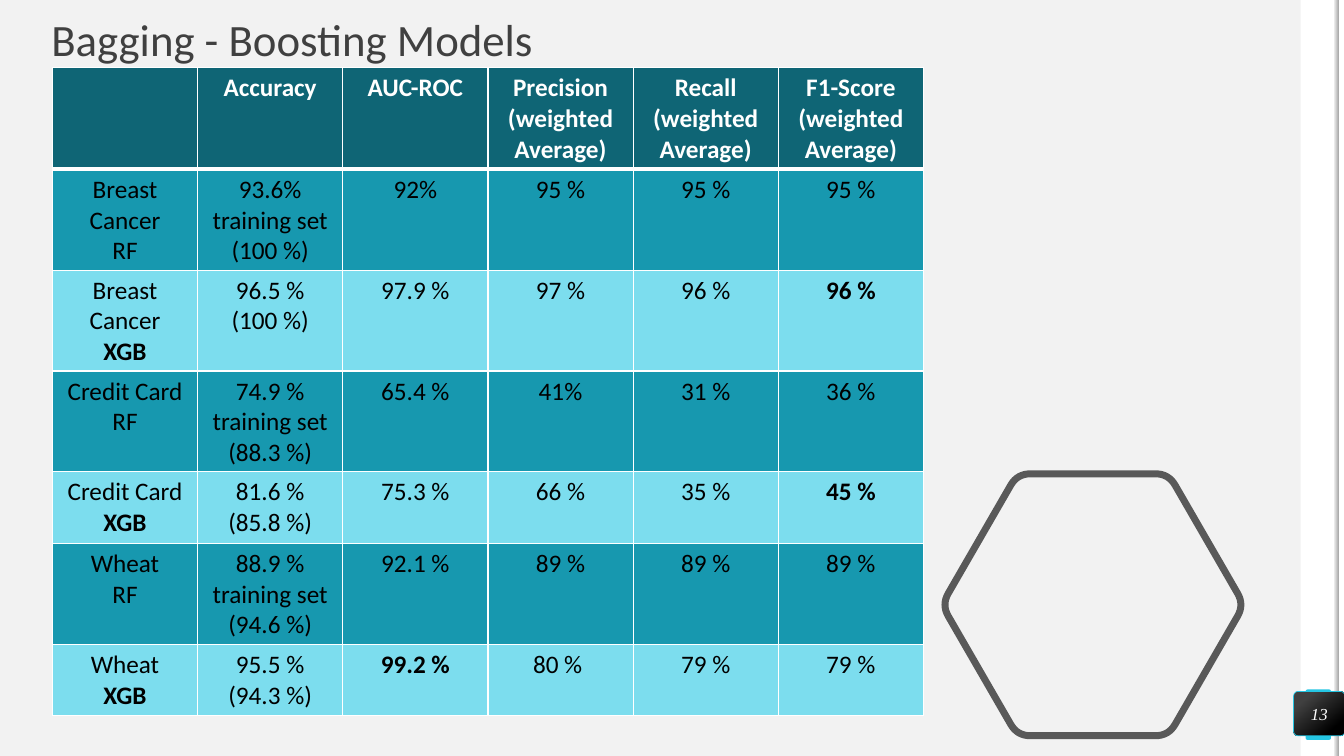
import math

from lxml import etree
from pptx import Presentation
from pptx.dml.color import RGBColor
from pptx.enum.shapes import MSO_SHAPE
from pptx.enum.text import MSO_ANCHOR, PP_ALIGN
from pptx.oxml.ns import qn
from pptx.util import Inches, Pt

RECT, ROUND = MSO_SHAPE.RECTANGLE, MSO_SHAPE.ROUNDED_RECTANGLE
MIDDLE = MSO_ANCHOR.MIDDLE
CENTER, LEFT = PP_ALIGN.CENTER, PP_ALIGN.LEFT

COLORS = {
    "back": "F2F2F2", "white": "FFFFFF", "black": "000000",
    "title": "404040", "edge": "A6A6A6", "outline": "595959",
    "accent": "25C6E3", "header": "0F6575", "dark": "1798AF", "light": "7CDDEE",
}

# A leading * marks a paragraph in bold
RESULTS = [
    ["", "*Accuracy", "*AUC-ROC", "*Precision\n*(weighted Average)",
     "*Recall\n*(weighted Average)", "*F1-Score\n*(weighted Average)"],
    ["Breast Cancer\nRF", "93.6%\ntraining set (100 %)", "92%", "95 %", "95 %", "95 %"],
    ["Breast Cancer\n*XGB", "96.5 %\n(100 %)", "97.9 %", "97 %", "96 %", "*96 %"],
    ["Credit Card\nRF", "74.9 %\ntraining set (88.3 %)", "65.4 %", "41%", "31 %", "36 %"],
    ["Credit Card\n*XGB", "81.6 %\n(85.8 %)", "75.3 %", "66 %", "35 %", "*45 %"],
    ["Wheat\nRF", "88.9 %\ntraining set (94.6 %)", "92.1 %", "89 %", "89 %", "89 %"],
    ["Wheat\n*XGB", "95.5 %\n(94.3 %)", "*99.2 %", "80 % ", "79 %", "79 %"],
]
ROW_HEIGHTS = [1.01, 0.71, 0.71, 0.8, 0.71, 0.71, 0.71]
COLUMN_WIDTH = 1.44


def rgb(name):
    return RGBColor.from_string(COLORS[name])


class SlideBuilder:
    def __init__(self, prs, font="Calibri"):
        self.font = font
        self.s = prs.slides.add_slide(prs.slide_layouts[6])
        self.s.background.fill.solid()
        self.s.background.fill.fore_color.rgb = rgb("back")

    def box(self, left, top, width, height, fill, kind=RECT, corner=None):
        sp = self.s.shapes.add_shape(kind, Inches(left), Inches(top),
                                     Inches(width), Inches(height))
        sp.shadow.inherit = False
        sp.fill.solid()
        sp.fill.fore_color.rgb = rgb(fill)
        sp.line.fill.background()
        if corner is not None:
            sp.adjustments[0] = corner
        return sp

    def gradient(self, sp, stops, angle):
        sp.fill.gradient()
        sp.fill.gradient_angle = angle
        for stop, (position, color) in zip(sp.fill.gradient_stops, stops):
            stop.position = position
            stop.color.rgb = rgb(color)

    def format_paragraph(self, p, size, color, align=LEFT, font=None, bold=False, italic=False):
        p.alignment = align
        for r in p.runs:
            r.font.name = font or self.font
            r.font.size = Pt(size)
            r.font.bold = bold
            r.font.italic = italic
            r.font.color.rgb = rgb(color)

    def text(self, sp, text, size, color, **style):
        tf = sp.text_frame
        tf.word_wrap = True
        tf.vertical_anchor = MIDDLE
        tf.margin_left = tf.margin_right = tf.margin_top = tf.margin_bottom = 0
        p = tf.paragraphs[0]
        p.text = text
        self.format_paragraph(p, size, color, **style)
        return p

    def title(self, text, left, top, width, height):
        sp = self.s.shapes.add_textbox(Inches(left), Inches(top),
                                       Inches(width), Inches(height))
        self.text(sp, text, 32, "title").line_spacing = 0.9

    def hexagon(self, cx, cy, radius, trim, color, weight, steps=8):
        corners = [(cx + radius * math.cos(math.radians(a)),
                    cy + radius * math.sin(math.radians(a))) for a in range(0, 360, 60)]
        points = []
        for i, corner in enumerate(corners):
            # Curve from one trimmed side to the next, drawn towards the corner
            start, end = ([c + (n - c) * trim / radius for c, n in zip(corner, near)]
                          for near in (corners[i - 1], corners[(i + 1) % 6]))
            for t in (step / steps for step in range(steps + 1)):
                points.append([Inches((1 - t) ** 2 * a + 2 * t * (1 - t) * c + t ** 2 * b)
                               for a, c, b in zip(start, corner, end)])
        builder = self.s.shapes.build_freeform(*points[0])
        builder.add_line_segments(points[1:], close=True)
        sp = builder.convert_to_shape()
        sp.shadow.inherit = False
        sp.fill.background()
        sp.line.color.rgb = rgb(color)
        sp.line.width = Pt(weight)

    def border(self, cell, side, weight):
        tcPr = cell._tc.get_or_add_tcPr()
        ln = etree.SubElement(tcPr, qn(f"a:ln{side}"), w=str(Pt(weight)))
        fill = etree.SubElement(ln, qn("a:solidFill"))
        etree.SubElement(fill, qn("a:srgbClr"), val=COLORS["white"])

    def cell(self, cell, text, row):
        heavy_side = {0: "B", 1: "T"}.get(row)
        for side in "LRTB":
            self.border(cell, side, 3 if side == heavy_side else 1)
        cell.fill.solid()
        cell.fill.fore_color.rgb = rgb("header" if row == 0 else "dark" if row % 2 else "light")
        cell.text = text
        for p in cell.text_frame.paragraphs:
            bold = p.text.startswith("*")
            p.text = p.text.lstrip("*")
            self.format_paragraph(p, 18, "black" if row else "white", align=CENTER, bold=bold)

    def table(self, left, top, rows, heights, column_width):
        columns = len(rows[0])
        table = self.s.shapes.add_table(
            len(rows), columns, Inches(left), Inches(top),
            Inches(column_width * columns), Inches(sum(heights))).table
        table.horz_banding = False
        for column in table.columns:
            column.width = Inches(column_width)
        for i, (values, height) in enumerate(zip(rows, heights)):
            table.rows[i].height = Inches(height)
            for j, value in enumerate(values):
                self.cell(table.cell(i, j), value, i)


def main():
    prs = Presentation()
    prs.slide_width, prs.slide_height = Inches(13.33), Inches(7.5)
    b = SlideBuilder(prs)

    # Right-hand band
    b.box(12.9, 0, 0.39, 7.5, "white")
    b.box(12.95, 6.84, 0.25, 0.5, "accent", ROUND, 0.07)
    b.box(13.28, 0, 0.05, 7.5, "white")
    edge = b.box(13.23, 0, 0.05, 7.5, "edge")
    b.gradient(edge, [(0, "back"), (1, "edge")], 0)

    # Title and hexagon
    b.title("Bagging - Boosting Models", 0.51, 0.18, 5.98, 0.47)
    b.hexagon(10.84, 6, 1.5, 0.13, "outline", 5)

    # Slide number
    badge = b.box(12.83, 6.86, 0.51, 0.44, "black", ROUND, 0.1)
    b.gradient(badge, [(0.2, "title"), (0.82, "black")], 310)
    badge.line.color.rgb = rgb("accent")
    badge.line.width = Pt(0.5)
    b.text(badge, "13", 12, "white", align=CENTER, font="Times New Roman", italic=True)

    # Model results
    b.table(0.52, 0.67, RESULTS, ROW_HEIGHTS, COLUMN_WIDTH)

    prs.save("out.pptx")


if __name__ == "__main__":
    main()
